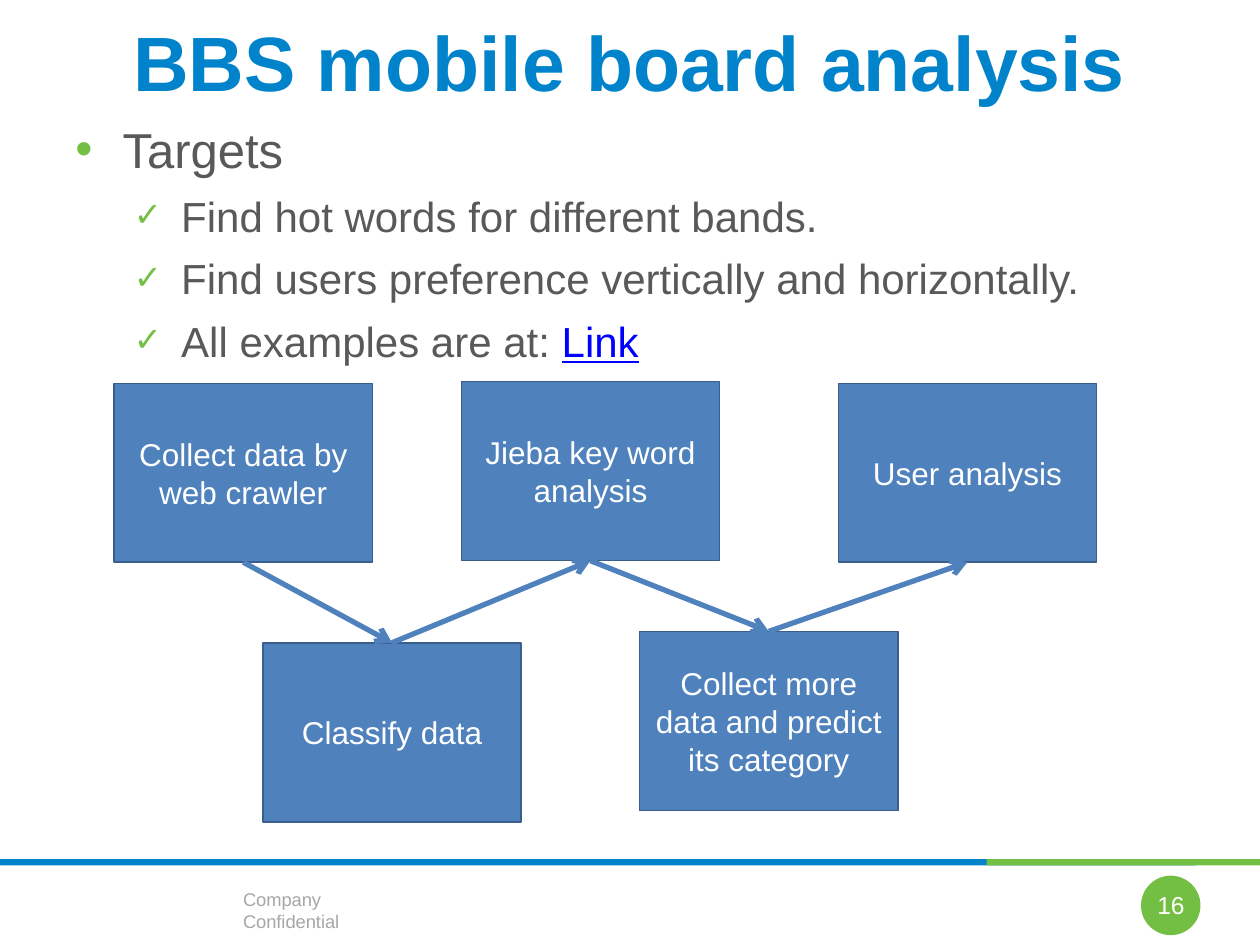
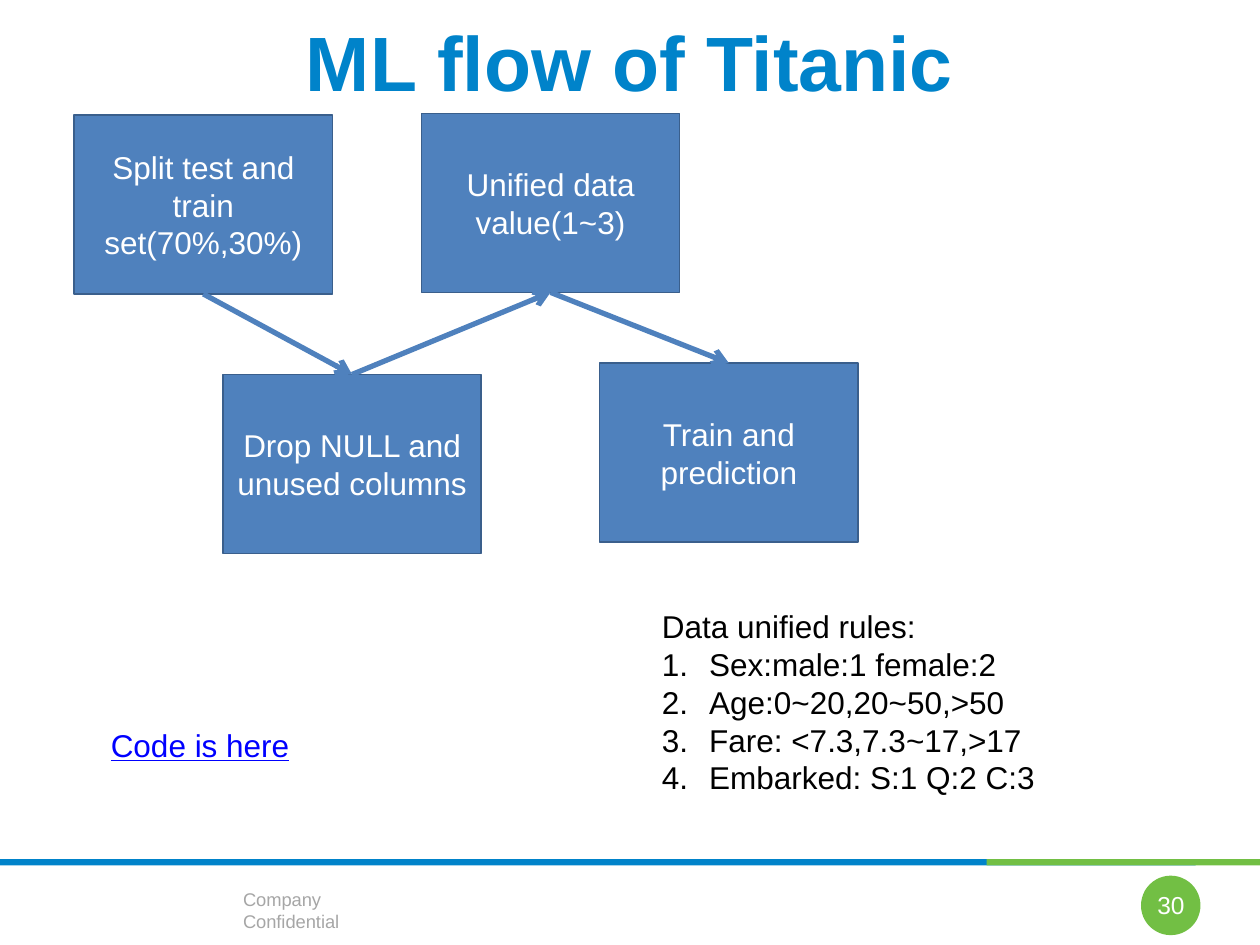
from lxml import etree
from pptx import Presentation
from pptx.dml.color import RGBColor
from pptx.enum.shapes import MSO_CONNECTOR, MSO_SHAPE
from pptx.enum.text import MSO_ANCHOR, PP_ALIGN
from pptx.oxml.ns import qn
from pptx.util import Pt

RECTANGLE, OVAL = MSO_SHAPE.RECTANGLE, MSO_SHAPE.OVAL
STRAIGHT = MSO_CONNECTOR.STRAIGHT
LEFT, CENTER, RIGHT = PP_ALIGN.LEFT, PP_ALIGN.CENTER, PP_ALIGN.RIGHT
TOP, MIDDLE = MSO_ANCHOR.TOP, MSO_ANCHOR.MIDDLE
TOP_SIDE, BOTTOM_SIDE = 0, 2

FONT = "Arial"
COLORS = {
    "blue": "0083CA", "green": "72BF44", "body": "595959", "footer": "A6A6A6",
    "box": "4F81BD", "box_edge": "3A5F8C", "link": "0000FF",
    "white": "FFFFFF", "black": "000000",
}

# Content
FOOTER = "Company Confidential"

BOARD_TITLE = "BBS mobile board analysis"
BOARD_PAGE = 16
TARGETS_HEADING = "Targets"
TARGETS = [
    ["Find hot words for different bands."],
    ["Find users preference vertically and horizontally."],
    ["All examples are at: ", ("Link", "link")],
]
BOARD_STEPS = [
    "Collect data by web crawler",
    "Classify data",
    "Jieba key word analysis",
    "Collect more data and predict its category",
    "User analysis",
]

TITANIC_TITLE = "ML flow of Titanic"
TITANIC_PAGE = 30
TITANIC_STEPS = [
    "Split test and train set(70%,30%)",
    "Drop NULL and unused columns",
    "Unified data value(1~3)",
    "Train and prediction",
]
CODE_LINK = [("Code is here", "link")]
RULES_HEADING = "Data unified rules:"
RULES = [
    "Sex:male:1 female:2",
    "Age:0~20,20~50,>50",
    "Fare: <7.3,7.3~17,>17",
    "Embarked: S:1 Q:2 C:3",
]

# Layout, in points
SLIDE_SIZE = (720, 540)
STEP_SIZE = (147.6, 102.3)
STEP_OFFSETS = [(0, 0), (85, 148.3), (198.4, -0.9), (300.3, 141.8), (413.8, 0)]
BOARD_FLOW_ORIGIN = (65.2, 219)
TITANIC_FLOW_ORIGIN = (42.4, 65.7)

DOT = {"margin": 27, "kind": "buChar", "value": {"char": "•"}, "color": "green"}
CHECK = {"margin": 60.5, "kind": "buChar", "value": {"char": "✓"},
         "color": "green", "percent": 80}
NUMBER = {"margin": 27, "kind": "buAutoNum", "value": {"type": "arabicPeriod"}}
HANGING = 27


def rgb(name):
    return RGBColor.from_string(COLORS[name])


def add_bullet(paragraph, bullet):
    properties = paragraph._p.get_or_add_pPr()
    properties.set("marL", str(Pt(bullet["margin"])))
    properties.set("indent", str(-Pt(HANGING)))
    if "color" in bullet:
        color = etree.SubElement(properties, qn("a:buClr"))
        etree.SubElement(color, qn("a:srgbClr"), val=COLORS[bullet["color"]])
    if "percent" in bullet:
        etree.SubElement(properties, qn("a:buSzPct"), val=str(bullet["percent"] * 1000))
    etree.SubElement(properties, qn("a:buFont"), typeface=FONT)
    etree.SubElement(properties, qn("a:" + bullet["kind"]), **bullet["value"])


def write(frame, runs, size=18, color="black", bold=False, align=LEFT, bullet=None,
          line_spacing=None, space_before=None, new_paragraph=False):
    """Write one paragraph; a run is a string or a (string, colour) link."""
    paragraph = frame.add_paragraph() if new_paragraph else frame.paragraphs[0]
    if bullet:
        add_bullet(paragraph, bullet)
    paragraph.alignment = align
    if line_spacing:
        paragraph.line_spacing = line_spacing
    if space_before:
        paragraph.space_before = Pt(space_before)
    for part in [runs] if isinstance(runs, str) else runs:
        linked = isinstance(part, tuple)
        text, run_color = part if linked else (part, color)
        run = paragraph.add_run()
        run.text = text
        run.font.name = FONT
        run.font.size = Pt(size)
        run.font.bold = bold
        run.font.underline = linked
        run.font.color.rgb = rgb(run_color)


def add_frame(slide, left, top, width, height, anchor=TOP, wrap=True, inset_top=3.6):
    box = slide.shapes.add_textbox(Pt(left), Pt(top), Pt(width), Pt(height))
    frame = box.text_frame
    frame.word_wrap = wrap
    frame.vertical_anchor = anchor
    frame.margin_top = Pt(inset_top)
    return frame


def add_filled(slide, preset, left, top, width, height, fill, edge=None):
    shape = slide.shapes.add_shape(preset, Pt(left), Pt(top), Pt(width), Pt(height))
    shape.shadow.inherit = False
    shape.fill.solid()
    shape.fill.fore_color.rgb = rgb(fill)
    if edge:
        shape.line.color.rgb = rgb(edge)
        shape.line.width = Pt(0.85)
    else:
        shape.line.fill.background()
    return shape


def add_arrow(slide, start, start_side, end, end_side):
    arrow = slide.shapes.add_connector(STRAIGHT, 0, 0, 0, 0)
    arrow.begin_connect(start, start_side)
    arrow.end_connect(end, end_side)
    arrow.line.color.rgb = rgb("box")
    arrow.line.width = Pt(3)
    etree.SubElement(arrow.line._get_or_add_ln(), qn("a:tailEnd"), type="arrow")
    etree.SubElement(arrow._element.spPr, qn("a:effectLst"))


def add_flow(slide, steps, origin):
    """Place steps alternately high and low, each joined to the next."""
    boxes = []
    for step, (dx, dy) in zip(steps, STEP_OFFSETS):
        box = add_filled(slide, RECTANGLE, origin[0] + dx, origin[1] + dy, *STEP_SIZE,
                         fill="box", edge="box_edge")
        box.text_frame.word_wrap = True
        box.text_frame.vertical_anchor = MIDDLE
        write(box.text_frame, step, color="white", align=CENTER)
        boxes.append(box)
    sides = (BOTTOM_SIDE, TOP_SIDE)
    for i, (start, end) in enumerate(zip(boxes, boxes[1:])):
        add_arrow(slide, start, sides[i % 2], end, sides[(i + 1) % 2])


def add_slide(deck, title, page):
    """Add a blank slide with the shared title, band, footer and page number."""
    slide = deck.slides.add_slide(deck.slide_layouts[6])
    write(add_frame(slide, 131.8, 504, 112.3, 20.2, wrap=False), FOOTER,
          size=10.5, color="footer")
    add_filled(slide, RECTANGLE, 0, 491, 683.3, 3.6, "blue")
    add_filled(slide, RECTANGLE, 563.8, 491, 156.2, 3.6, "green")
    add_filled(slide, OVAL, 652, 500.4, 34, 34, "green")
    write(add_frame(slide, 36, 0, 648, 54.7, inset_top=8.2), title,
          size=44, color="blue", bold=True, align=CENTER)
    write(add_frame(slide, 563.8, 502.6, 120.2, 28.8, anchor=MIDDLE), str(page),
          size=14, color="white", align=RIGHT)
    return slide


def build_board(deck):
    slide = add_slide(deck, BOARD_TITLE, BOARD_PAGE)
    body = add_frame(slide, 36, 54.7, 648, 436.3, inset_top=6.6)
    write(body, TARGETS_HEADING, size=28, color="body", bullet=DOT, line_spacing=1.2)
    for target in TARGETS:
        write(body, target, size=24, color="body", bullet=CHECK, line_spacing=1.2,
              space_before=1.2, new_paragraph=True)
    add_flow(slide, BOARD_STEPS, BOARD_FLOW_ORIGIN)


def build_titanic(deck):
    slide = add_slide(deck, TITANIC_TITLE, TITANIC_PAGE)
    add_flow(slide, TITANIC_STEPS, TITANIC_FLOW_ORIGIN)
    write(add_frame(slide, 56.2, 411.1, 267.8, 28.8), CODE_LINK)
    rules = add_frame(slide, 371.2, 343.4, 300.2, 116.6)
    write(rules, RULES_HEADING)
    for rule in RULES:
        write(rules, rule, bullet=NUMBER, new_paragraph=True)


def main():
    deck = Presentation()
    deck.slide_width, deck.slide_height = map(Pt, SLIDE_SIZE)
    build_board(deck)
    build_titanic(deck)
    deck.save("out.pptx")


if __name__ == "__main__":
    main()
